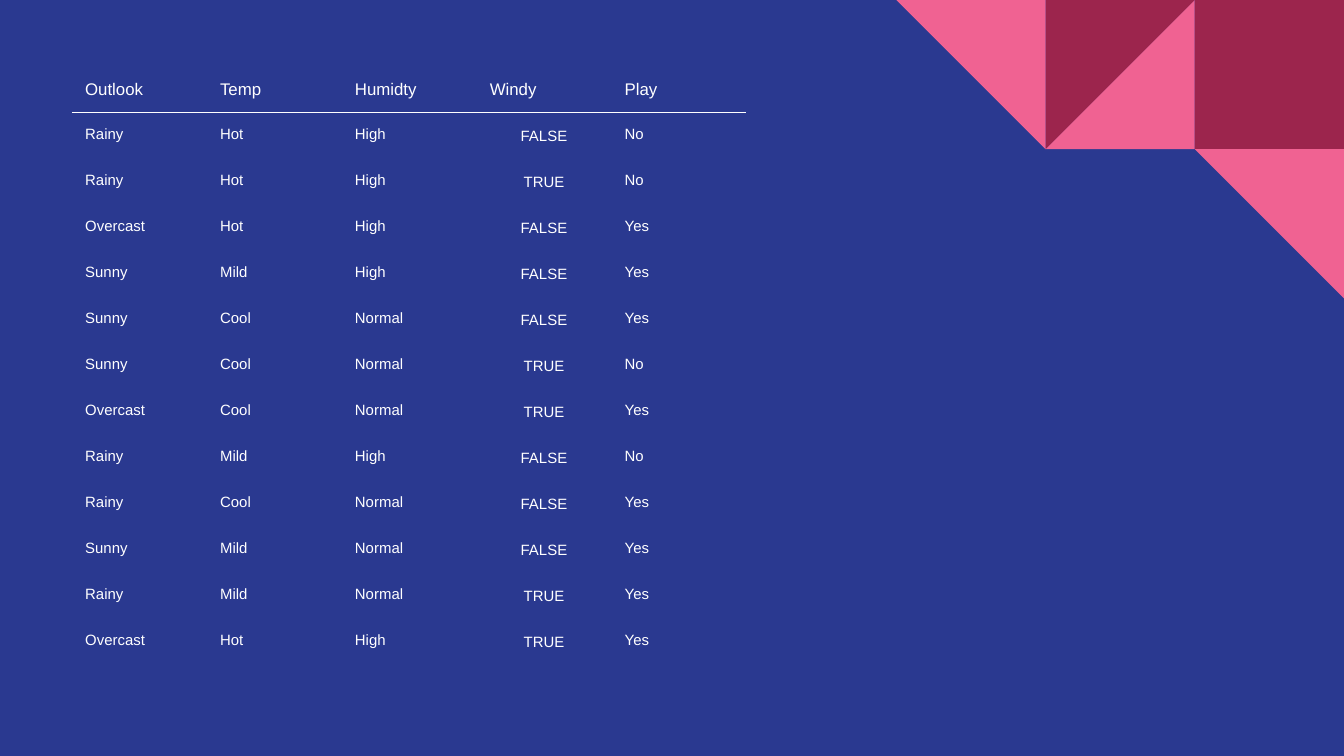
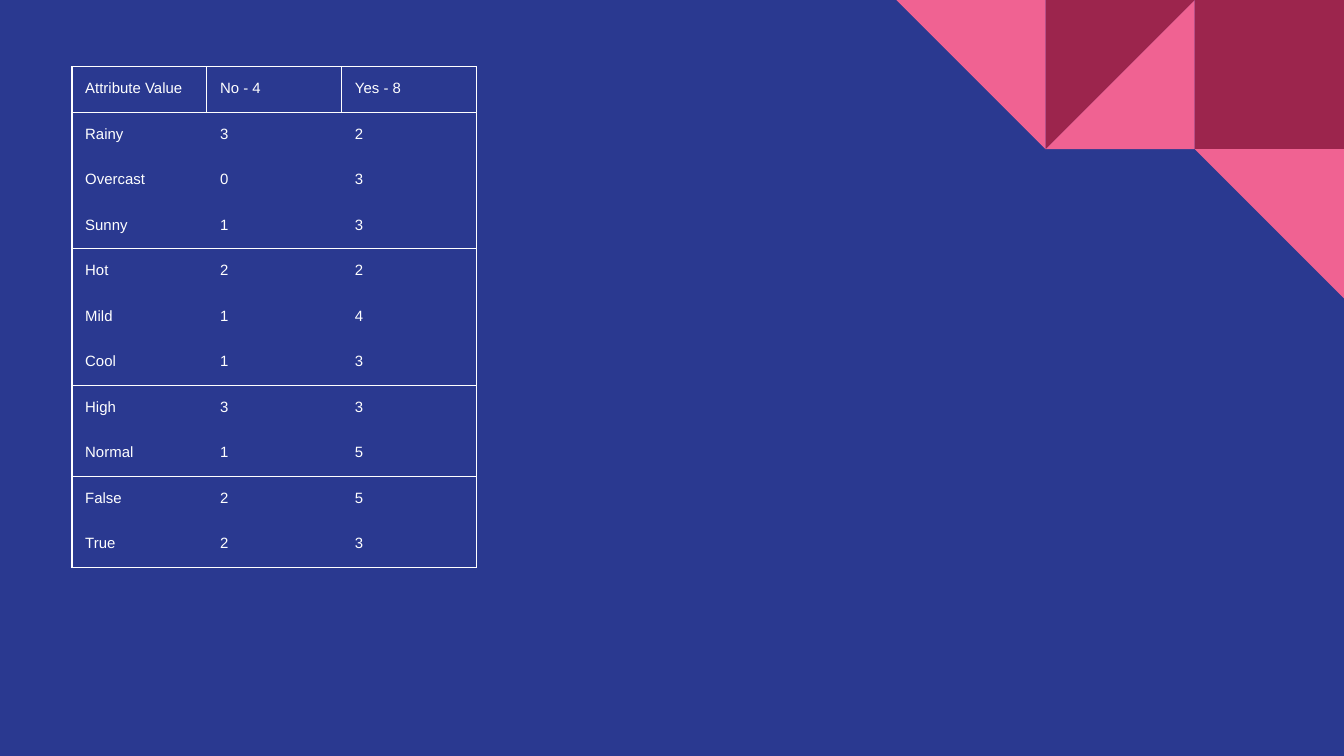
from lxml import etree
from pptx import Presentation
from pptx.dml.color import RGBColor
from pptx.enum.shapes import MSO_SHAPE
from pptx.enum.text import PP_ALIGN
from pptx.oxml.ns import qn
from pptx.util import Cm, Pt

RECT = MSO_SHAPE.RECTANGLE
WEDGE = MSO_SHAPE.RIGHT_TRIANGLE
CENTER = PP_ALIGN.CENTER

NAVY = RGBColor(0x2A, 0x39, 0x90)
WINE = RGBColor(0x9C, 0x25, 0x4D)
PINK = RGBColor(0xF0, 0x62, 0x92)
WHITE = RGBColor(0xFF, 0xFF, 0xFF)
FONT = "Arial"

WEATHER = [
    ("Outlook", "Temp", "Humidty", "Windy", "Play"),
    ("Rainy", "Hot", "High", "FALSE", "No"),
    ("Rainy", "Hot", "High", "TRUE", "No"),
    ("Overcast", "Hot", "High", "FALSE", "Yes"),
    ("Sunny", "Mild", "High", "FALSE", "Yes"),
    ("Sunny", "Cool", "Normal", "FALSE", "Yes"),
    ("Sunny", "Cool", "Normal", "TRUE", "No"),
    ("Overcast", "Cool", "Normal", "TRUE", "Yes"),
    ("Rainy", "Mild", "High", "FALSE", "No"),
    ("Rainy", "Cool", "Normal", "FALSE", "Yes"),
    ("Sunny", "Mild", "Normal", "FALSE", "Yes"),
    ("Rainy", "Mild", "Normal", "TRUE", "Yes"),
    ("Overcast", "Hot", "High", "TRUE", "Yes"),
]
WINDY = 3

HEADS = ("Attribute Value", "No - 4", "Yes - 8")
GROUPS = [
    [("Rainy", "3", "2"), ("Overcast", "0", "3"), ("Sunny", "1", "3")],
    [("Hot", "2", "2"), ("Mild", "1", "4"), ("Cool", "1", "3")],
    [("High", "3", "3"), ("Normal", "1", "5")],
    [("False", "2", "5"), ("True", "2", "3")],
]

# Column and row in the corner grid, outline, colour, turn, mirrored
TILES = [
    (2, 0, RECT, WINE, 0, False),
    (1, 0, WEDGE, PINK, 0, True),
    (1, 0, WEDGE, WINE, 180, True),
    (0, 0, WEDGE, PINK, 180, False),
    (2, 1, WEDGE, PINK, 180, False),
]
WIDTH, HEIGHT = 25.4, 14.29
TILE = 2.82
LEFT, TOP = 1.36, 1.26
COL, ROW, TALL = 2.55, 0.86, 0.87
PAD = Cm(0.25)


def dress(layout, slide):
    """Give the layout its backdrop and corner tiles, drawn by way of a slide."""
    for spot in list(layout.placeholders):
        spot.element.getparent().remove(spot.element)
    layout.background.fill.solid()
    layout.background.fill.fore_color.rgb = NAVY
    group = slide.shapes.add_group_shape()
    for col, row, kind, color, turn, flip in TILES:
        x = WIDTH - (3 - col) * TILE
        tile = group.shapes.add_shape(kind, Cm(x), Cm(row * TILE), Cm(TILE), Cm(TILE))
        tile.shadow.inherit = False
        tile.fill.solid()
        tile.fill.fore_color.rgb = color
        tile.line.fill.background()
        tile.rotation = turn
        if flip:
            tile.element.spPr.xfrm.set("flipH", "1")
    layout.shapes.element.append(group.element)


def rule(cell, sides):
    """Draw white lines on the named sides (L, R, T, B) and clear the rest."""
    props = cell._tc.get_or_add_tcPr()
    for side in "LRTB":
        line = etree.SubElement(props, qn(f"a:ln{side}"), w=str(Pt(0.75)))
        if side in sides:
            fill = etree.SubElement(line, qn("a:solidFill"))
            etree.SubElement(fill, qn("a:srgbClr"), val=str(WHITE))
        else:
            etree.SubElement(line, qn("a:noFill"))


def add_grid(slide, rows, cuts, boxed=False, size=8, tall=ROW, mid=None):
    """Add a table ruled above each row in cuts; mid is a centred column."""
    wide, high = len(rows[0]), len(rows)
    frame = slide.shapes.add_table(
        high, wide, Cm(LEFT), Cm(TOP), Cm(wide * COL), Cm(ROW + (high - 1) * tall))
    table = frame.table
    table.first_row = table.horz_banding = False
    for col in table.columns:
        col.width = Cm(COL)
    for r, words in enumerate(rows):
        table.rows[r].height = Cm(tall if r else ROW)
        for c, word in enumerate(words):
            cell = table.cell(r, c)
            cell.margin_left = cell.margin_right = PAD
            cell.margin_top = cell.margin_bottom = PAD
            sides = ("T" if r in cuts else "") + ("B" if r + 1 in cuts else "")
            if boxed:
                sides += "L" if c == 0 or r == 0 else ""
                sides += "R" if c == wide - 1 or r == 0 else ""
            rule(cell, sides)
            cell.fill.background()
            para = cell.text_frame.paragraphs[0]
            if r and c == mid:
                para.alignment = CENTER
                para.line_spacing = 1.15
            run = para.add_run()
            run.text = word
            run.font.name = FONT
            run.font.size = Pt(8 if r else size)
            run.font.bold = False
            run.font.color.rgb = WHITE


def main():
    deck = Presentation()
    deck.slide_width, deck.slide_height = Cm(WIDTH), Cm(HEIGHT)
    layout = deck.slide_layouts[6]

    data = deck.slides.add_slide(layout)
    dress(layout, data)
    add_grid(data, WEATHER, {1}, size=9, tall=TALL, mid=WINDY)

    counts, cuts = [HEADS], {0, 1}
    for group in GROUPS:
        counts += group
        cuts.add(len(counts))
    add_grid(deck.slides.add_slide(layout), counts, cuts, boxed=True)

    deck.save("out.pptx")


if __name__ == "__main__":
    main()
